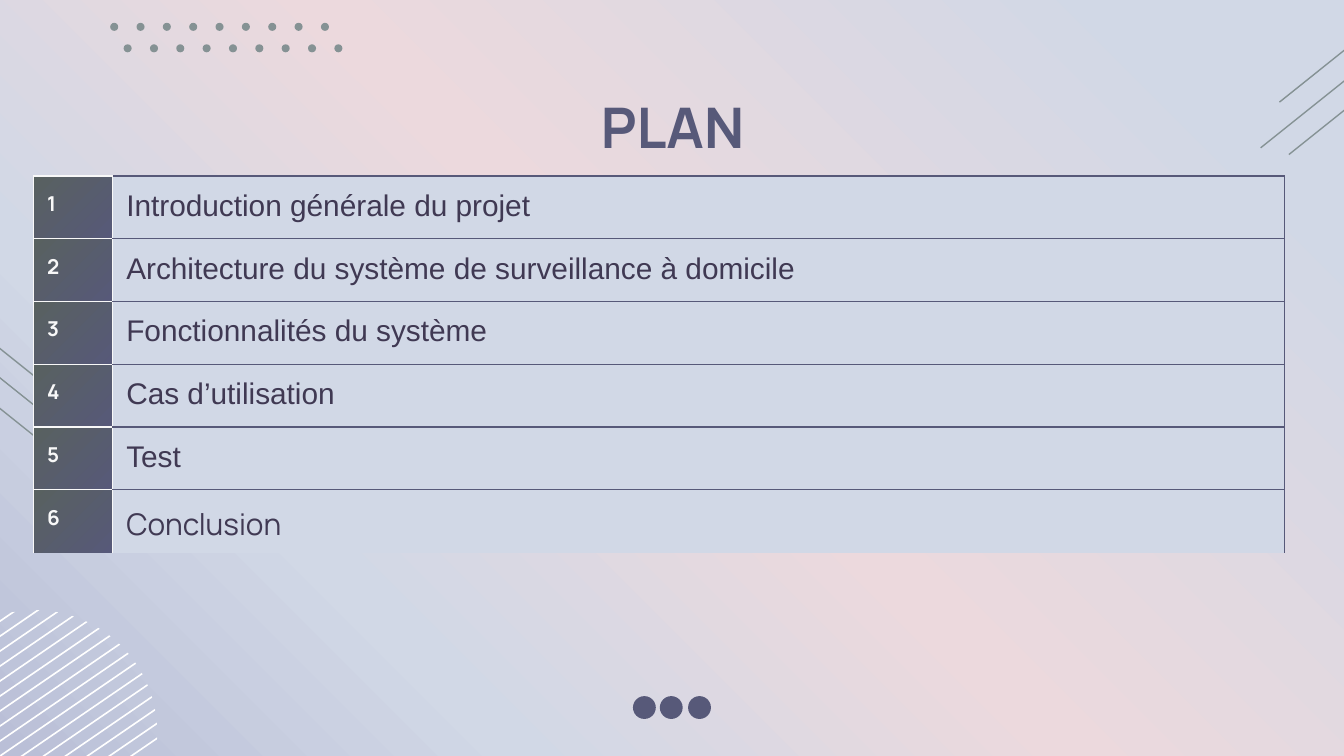
"""Build the "PLAN" agenda slide."""
import math

import lxml.etree
import pptx
import pptx.dml.color
import pptx.enum.shapes
import pptx.enum.text
import pptx.oxml
import pptx.oxml.ns
import pptx.util

WIDTH = 10
HEIGHT = WIDTH * 9 / 16
INK, TEXT, PALE, WHITE, GREY = "575979", "403953", "D1D8E6", "F8F8F8", "859294"
BACKDROP = [(0, PALE), (11, PALE), (49, "ECD9DD"), (75, PALE), (100, "BABFD7")]
NUMBER_FADE = [(0, INK), (100, "586160")]

TITLE = "PLAN"
TOPICS = [
    ("Introduction générale du projet", "Arial", 16),
    ("Architecture du système de surveillance à domicile", "Arial", 16),
    ("Fonctionnalités du système", "Arial", 16),
    ("Cas d’utilisation", "Arial", 16),
    ("Test", "Arial", None),
    ("Conclusion", "Manrope", None),
]
COLUMNS, ROW, AGENDA_HEIGHT = (0.59, 8.72), 0.37, 2.8

DISC = {"x": 0.26, "y": 5.45, "radius": 0.91, "first": -0.83, "pitch": 0.092, "count": 16}
STRIPE_ANGLE, STRIPE_HALF = math.radians(34.4), 0.006
DOT_ROWS, DOT_COUNT, DOT_PITCH, DOT = [(0.82, 0.17), (0.92, 0.33)], 9, 0.196, 0.06
PAGE_DOTS, PAGE_DOT = (4.71, 4.91, 5.12), 0.17
RAYS = [
    ((0.80, 0.64), [(-0.29, 2.58), (-0.5, 2.64), (-0.43, 2.25)]),
    ((-0.80, 0.64), [(10.18, 0.46), (10.39, 0.51), (10.32, 0.12)]),
]

inch = pptx.util.Inches


def color(value):
    return pptx.dml.color.RGBColor.from_string(value)


def gradient(stops, angle):
    marks = "".join(
        f'<a:gs pos="{share * 1000}"><a:srgbClr val="{value}"/></a:gs>' for share, value in stops
    )
    return pptx.oxml.parse_xml(
        f'<a:gradFill {pptx.oxml.ns.nsdecls("a")} rotWithShape="1"><a:gsLst>{marks}</a:gsLst>'
        f'<a:lin ang="{angle * 60000}" scaled="0"/></a:gradFill>'
    )


def write(frame, text, size, font="Manrope", ink=TEXT, bold=False, align=None, after=None):
    frame.word_wrap = True
    paragraph = frame.paragraphs[0]
    paragraph.alignment = align
    if after:
        paragraph.space_after = pptx.util.Pt(after)
    run = paragraph.add_run()
    run.text = text
    run.font.size, run.font.name, run.font.bold = pptx.util.Pt(size), font, bold
    run.font.color.rgb = color(ink)


def paint(shape, value):
    shape.shadow.inherit = False
    shape.fill.solid()
    shape.fill.fore_color.rgb = color(value)
    shape.line.fill.background()


def add_dot(slide, x, y, size, value):
    oval = pptx.enum.shapes.MSO_SHAPE.OVAL
    paint(slide.shapes.add_shape(oval, inch(x), inch(y), inch(size), inch(size)), value)


def add_stripe(slide, offset):
    along = (math.cos(STRIPE_ANGLE), -math.sin(STRIPE_ANGLE))
    across = (math.sin(STRIPE_ANGLE), math.cos(STRIPE_ANGLE))
    corners = []
    for side in (-1, 1):
        distance = offset + side * STRIPE_HALF
        chord = math.sqrt(DISC["radius"] ** 2 - distance ** 2)
        for end in (side, -side):
            corners.append((
                inch(DISC["x"] + distance * across[0] + end * chord * along[0]),
                inch(DISC["y"] + distance * across[1] + end * chord * along[1]),
            ))
    outline = slide.shapes.build_freeform(*corners[0])
    outline.add_line_segments(corners[1:], close=True)
    paint(outline.convert_to_shape(), "FFFFFF")


def add_ray(slide, start, reach):
    ends = [inch(v) for v in (*start, start[0] + reach[0], start[1] + reach[1])]
    ray = slide.shapes.add_connector(pptx.enum.shapes.MSO_CONNECTOR.STRAIGHT, *ends)
    ray.line.color.rgb = color(GREY)
    ray.line.width = pptx.util.Pt(0.75)
    lxml.etree.SubElement(ray.element.spPr, pptx.oxml.ns.qn("a:effectLst"))


def set_borders(cell, **sides):
    properties = cell._tc.get_or_add_tcPr()
    for position, side in enumerate("LRTB"):
        value = sides[side]
        fill = f'<a:solidFill><a:srgbClr val="{value}"/></a:solidFill>' if value else "<a:noFill/>"
        properties.insert(position, pptx.oxml.parse_xml(
            f'<a:ln{side} {pptx.oxml.ns.nsdecls("a")} w="9525">{fill}</a:ln{side}>'
        ))


def add_agenda(slide):
    agenda = slide.shapes.add_table(
        len(TOPICS), 2, inch(0.25), inch(1.31), inch(sum(COLUMNS)), inch(ROW * len(TOPICS))
    )
    table = agenda.table
    table.first_row = table.horz_banding = False
    for column, width in zip(table.columns, COLUMNS):
        column.width = inch(width)
    agenda.height = inch(AGENDA_HEIGHT)
    for index, (topic, font, after) in enumerate(TOPICS):
        last = index == len(TOPICS) - 1
        number, subject = table.cell(index, 0), table.cell(index, 1)
        for cell in (number, subject):
            cell.margin_left = cell.margin_right = inch(0.1)
            cell.margin_top = cell.margin_bottom = inch(0.1)
        write(number.text_frame, str(index + 1), 11, ink=WHITE, bold=True)
        write(subject.text_frame, topic, 16, font=font, after=after)
        number._tc.get_or_add_tcPr().append(gradient(NUMBER_FADE, 225))
        subject.fill.solid()
        subject.fill.fore_color.rgb = color(PALE)
        set_borders(number, L=WHITE, R=WHITE, T=WHITE, B=None if last else WHITE)
        set_borders(subject, L=WHITE, R=INK, T=INK, B=None if last else INK)


def main():
    deck = pptx.Presentation()
    deck.slide_width, deck.slide_height = inch(WIDTH), inch(HEIGHT)
    slide = deck.slides.add_slide(deck.slide_layouts[6])
    slide.background.fill.solid()
    backdrop = slide.element.xpath("p:cSld/p:bg/p:bgPr")[0]
    backdrop.replace(backdrop[0], gradient(BACKDROP, 135))

    for index in range(DISC["count"]):
        add_stripe(slide, DISC["first"] + index * DISC["pitch"])
    for x in PAGE_DOTS:
        add_dot(slide, x, 5.18, PAGE_DOT, INK)
    for reach, starts in RAYS:
        for start in starts:
            add_ray(slide, start, reach)
    for left, top in DOT_ROWS:
        for index in range(DOT_COUNT):
            add_dot(slide, left + index * DOT_PITCH, top, DOT, GREY)

    title = slide.shapes.add_textbox(inch(0.79), inch(0.59), inch(8.43), inch(0.52)).text_frame
    title.margin_left = title.margin_right = title.margin_top = title.margin_bottom = inch(0.1)
    write(title, TITLE, 30, ink=INK, bold=True, align=pptx.enum.text.PP_ALIGN.CENTER)
    add_agenda(slide)
    deck.save("out.pptx")


if __name__ == "__main__":
    main()
